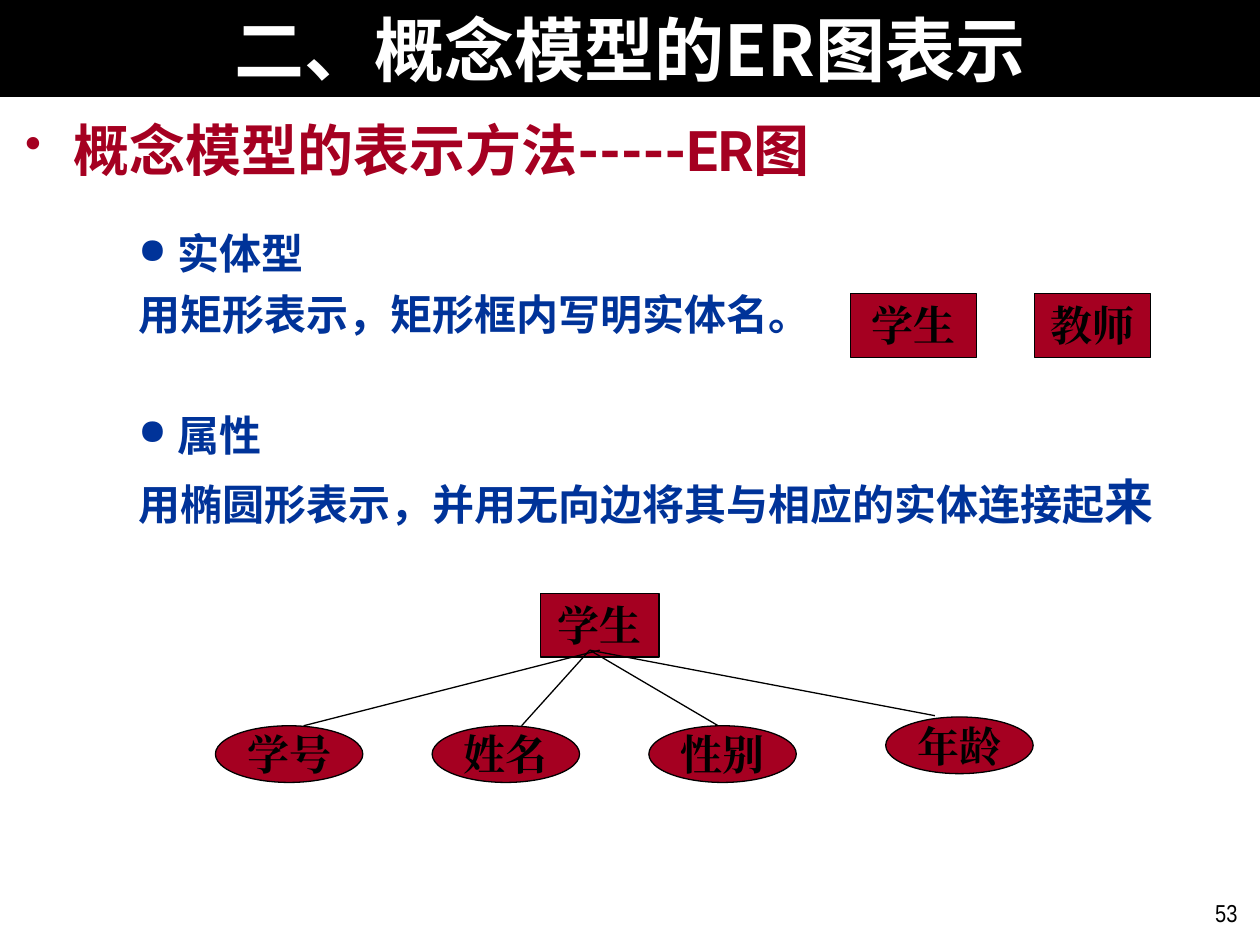
from dataclasses import dataclass

import pptx
import pptx.dml.color
import pptx.enum.shapes
import pptx.enum.text
import pptx.oxml.ns
import pptx.util
from lxml import etree

SHAPE = pptx.enum.shapes.MSO_SHAPE
ALIGN = pptx.enum.text.PP_ALIGN
ANCHOR = pptx.enum.text.MSO_ANCHOR
qn = pptx.oxml.ns.qn

# The slide is a grid of 100 columns by 75 rows
COLUMNS = 100
WIDTH, HEIGHT = pptx.util.Inches(10), pptx.util.Inches(7.5)
CELL = WIDTH / COLUMNS


@dataclass(frozen=True)
class Theme:
    black: str = "000000"
    white: str = "FFFFFF"
    red: str = "A50021"
    blue: str = "003399"
    title_font: str = "Noto Sans CJK SC"
    body_font: str = "Roboto"
    diagram_font: str = "Times New Roman"
    number_font: str = "Arial Narrow"
    title_size: int = 40
    heading_size: int = 32
    large_size: int = 28
    body_size: int = 24
    number_size: int = 14
    line_width: float = 0.75


THEME = Theme()


def grid(*cells):
    return [round(cell * CELL) for cell in cells]


def rgb(value):
    return pptx.dml.color.RGBColor.from_string(value)


def add_bullet(paragraph, symbol, color):
    properties = paragraph._p.get_or_add_pPr()
    bullet_color = etree.SubElement(properties, qn("a:buClr"))
    etree.SubElement(bullet_color, qn("a:srgbClr"), val=color)
    etree.SubElement(properties, qn("a:buSzPct"), val="85000")
    etree.SubElement(properties, qn("a:buChar"), char=symbol)


def write(frame, *runs, size, font, color, bold=True, align=ALIGN.LEFT,
          before=0, bullet=None, left=0, hanging=0):
    """Add one paragraph; a run is a text or a (text, size) pair."""
    paragraph = frame.paragraphs[0]
    if paragraph.runs:
        paragraph = frame.add_paragraph()
    if bullet:
        add_bullet(paragraph, bullet, color)
    properties = paragraph._p.get_or_add_pPr()
    properties.set("marL", str(pptx.util.Inches(left)))
    properties.set("indent", str(-pptx.util.Inches(hanging)))
    paragraph.alignment = align
    paragraph.space_before = pptx.util.Pt(before)
    for item in runs:
        text, run_size = item if isinstance(item, tuple) else (item, size)
        run = paragraph.add_run()
        run.text = text
        run.font.size = pptx.util.Pt(run_size)
        run.font.bold = bold
        run.font.color.rgb = rgb(color)
        run.font.name = font
        etree.SubElement(run._r.get_or_add_rPr(), qn("a:ea"), typeface=font)


def set_frame(frame, inset_x=0.1, inset_y=0.05, anchor=ANCHOR.TOP, wrap=True):
    frame.word_wrap = wrap
    frame.vertical_anchor = anchor
    frame.margin_left = frame.margin_right = pptx.util.Inches(inset_x)
    frame.margin_top = frame.margin_bottom = pptx.util.Inches(inset_y)
    return frame


def add_box(slide, cells, **frame_format):
    box = slide.shapes.add_textbox(*grid(*cells))
    return set_frame(box.text_frame, **frame_format)


def add_filled(slide, kind, cells, fill, outline=None):
    shape = slide.shapes.add_shape(kind, *grid(*cells))
    shape.shadow.inherit = False
    shape.fill.solid()
    shape.fill.fore_color.rgb = rgb(fill)
    if outline:
        shape.line.color.rgb = rgb(outline)
        shape.line.width = pptx.util.Pt(THEME.line_width)
    else:
        shape.line.fill.background()
    return shape


def add_node(slide, kind, label, cells, **frame_format):
    node = add_filled(slide, kind, cells, THEME.red, THEME.black)
    write(set_frame(node.text_frame, **frame_format), label,
          size=THEME.body_size, font=THEME.diagram_font, color=THEME.black,
          align=ALIGN.CENTER)


def add_entity(slide, label, column, row, width):
    add_node(slide, SHAPE.RECTANGLE, label, (column, row, width, 5.05))


def add_attribute(slide, label, column, row):
    add_node(slide, SHAPE.OVAL, label, (column, row, 11.7, 4.5),
             anchor=ANCHOR.MIDDLE, wrap=False)


def add_edge(slide, start, end):
    edge = slide.shapes.add_connector(
        pptx.enum.shapes.MSO_CONNECTOR.STRAIGHT, *grid(*start, *end))
    edge.line.color.rgb = rgb(THEME.black)
    edge.line.width = pptx.util.Pt(THEME.line_width)
    etree.SubElement(edge._element.spPr, qn("a:effectLst"))


def add_title(slide):
    banner = add_filled(slide, SHAPE.RECTANGLE, (0, 0, COLUMNS, 7.7), THEME.black)
    write(set_frame(banner.text_frame, inset_x=0.2, anchor=ANCHOR.MIDDLE),
          "二、概念模型的ER图表示", size=THEME.title_size,
          font=THEME.title_font, color=THEME.white, align=ALIGN.CENTER)


def add_explanation(slide):
    heading = add_box(slide, (0, 7.7, COLUMNS, 67.3), inset_x=0.2, inset_y=0.15)
    write(heading, "概念模型的表示方法-----ER图", size=THEME.heading_size,
          font=THEME.body_font, color=THEME.red, bullet="•",
          left=0.38, hanging=0.38)

    definitions = add_box(slide, (5, 17.6, 93.1, 49.2))
    style = dict(size=THEME.body_size, font=THEME.body_font,
                 color=THEME.blue, left=0.81, hanging=0.31)
    write(definitions, "实体型", bullet="●", **style)
    write(definitions, "用矩形表示，矩形框内写明实体名。", before=6, **style)
    write(definitions, "属性", bullet="●", before=40, **style)
    write(definitions, "用椭圆形表示，并用无向边将其与相应的实体连接起",
          ("来", THEME.large_size), before=7, **style)


def add_student_diagram(slide):
    add_entity(slide, "学生", 42.9, 47.1, 9.4)
    # Three attributes at equal steps, the last one set apart
    attributes = [(label, 17.1 + 17.2 * i, 57.6)
                  for i, label in enumerate(("学号", "姓名", "性别"))]
    attributes.append(("年龄", 70.3, 56.9))
    for label, column, row in attributes:
        add_attribute(slide, label, column, row)
    # Undirected edges from the entity to its attributes
    hub = (46.8, 51.6)
    add_edge(slide, (47.6, 51.6), (24.1, 57.6))
    for end in ((41.4, 57.6), (57, 57.6), (74.2, 56.8)):
        add_edge(slide, hub, end)


def main():
    deck = pptx.Presentation()
    deck.slide_width, deck.slide_height = WIDTH, HEIGHT
    slide = deck.slides.add_slide(deck.slide_layouts[6])

    # Page number
    write(add_box(slide, (95, 70.8, 4.2, 3.3)), "53", size=THEME.number_size,
          font=THEME.number_font, color=THEME.black, bold=False,
          align=ALIGN.RIGHT)

    add_title(slide)
    add_explanation(slide)

    # Sample entities
    add_entity(slide, "学生", 67.5, 23.3, 10)
    add_entity(slide, "教师", 82.1, 23.3, 9.2)

    add_student_diagram(slide)
    deck.save("out.pptx")


if __name__ == "__main__":
    main()
